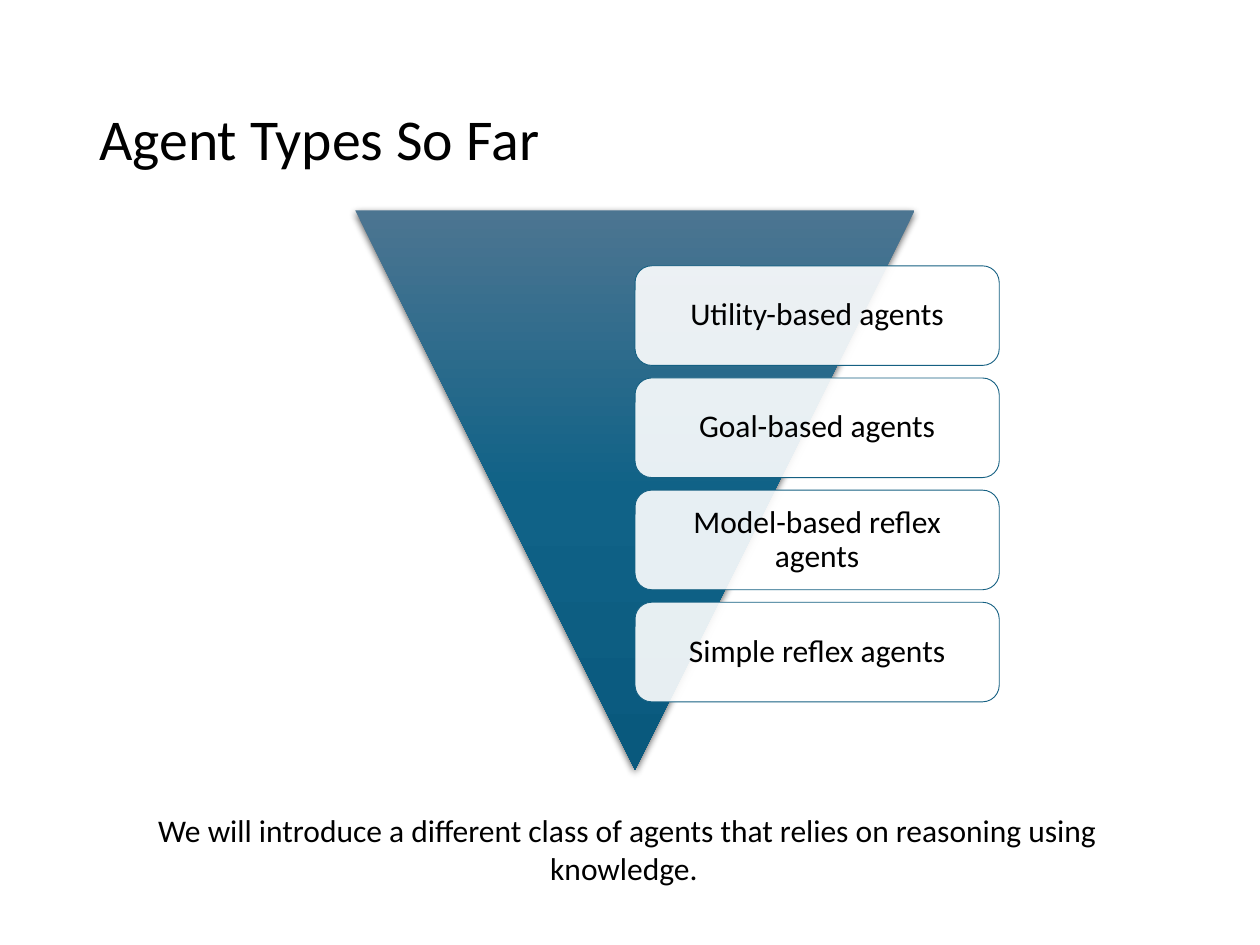
from dataclasses import dataclass

from lxml import etree
from pptx import Presentation
from pptx.dml.color import RGBColor
from pptx.enum.shapes import MSO_SHAPE as Shape
from pptx.enum.text import MSO_ANCHOR as Anchor, MSO_AUTO_SIZE as AutoSize, PP_ALIGN as Align
from pptx.oxml import parse_xml
from pptx.oxml.ns import nsdecls, qn
from pptx.util import Inches, Pt


@dataclass(frozen=True)
class Theme:
    font: str = "Calibri"
    ink: str = "000000"
    card: str = "FFFFFF"
    card_alpha: int = 90
    border: str = "156082"
    gradient: tuple = ((0, "4C7591"), (50, "106287"), (100, "09597D"))
    shadow_alpha: int = 63
    title_size: int = 33
    body_size: int = 18


class SlideBuilder:
    def __init__(self, slide, theme):
        self.shapes = slide.shapes
        self.theme = theme

    def fill_text(self, box, text, size, frame_format, para_format):
        frame = box.text_frame
        for name, value in {"word_wrap": True, **frame_format}.items():
            setattr(frame, name, value)
        para = frame.paragraphs[0]
        for name, value in para_format.items():
            setattr(para, name, value)
        span = para.add_run()
        span.text = text
        for name, value in {"name": self.theme.font, "size": Pt(size)}.items():
            setattr(span.font, name, value)
        span.font.color.rgb = RGBColor.from_string(self.theme.ink)

    def text(self, area, text, size, frame_format, para_format):
        box = self.shapes.add_textbox(*map(Inches, area))
        self.fill_text(box, text, size, frame_format, para_format)

    def triangle(self, area):
        triangle = self.shapes.add_shape(Shape.ISOSCELES_TRIANGLE, *map(Inches, area))
        triangle.rotation = 180
        triangle.line.fill.background()
        stops = "".join(
            f'<a:gs pos="{place * 1000}"><a:srgbClr val="{color}"/></a:gs>'
            for place, color in self.theme.gradient
        )
        gradient = parse_xml(
            f'<a:gradFill {nsdecls("a")} rotWithShape="0"><a:gsLst>{stops}</a:gsLst>'
            '<a:lin ang="5400000" scaled="0"/></a:gradFill>'
        )
        shadow = parse_xml(
            f'<a:effectLst {nsdecls("a")}><a:outerShdw blurRad="{Pt(4.5)}" dist="{Pt(1.5)}" '
            f'dir="5400000" algn="ctr" rotWithShape="0"><a:srgbClr val="{self.theme.ink}">'
            f'<a:alpha val="{self.theme.shadow_alpha * 1000}"/></a:srgbClr>'
            '</a:outerShdw></a:effectLst>'
        )
        properties = triangle._element.spPr
        properties.find(qn("a:prstGeom")).addnext(gradient)
        properties.append(shadow)

    def card(self, area, text):
        card = self.shapes.add_shape(Shape.ROUNDED_RECTANGLE, *map(Inches, area))
        card.shadow.inherit = False
        card.fill.solid()
        card.fill.fore_color.rgb = RGBColor.from_string(self.theme.card)
        color = card._element.spPr.find(qn("a:solidFill"))[0]
        etree.SubElement(color, qn("a:alpha"), val=str(self.theme.card_alpha * 1000))
        card.line.color.rgb = RGBColor.from_string(self.theme.border)
        card.line.width = Pt(0.5)
        margins = {f"margin_{side}": Inches(0.07) for side in ("left", "right", "top", "bottom")}
        self.fill_text(card, text, self.theme.body_size,
                       {"vertical_anchor": Anchor.MIDDLE, **margins},
                       {"alignment": Align.CENTER, "line_spacing": 0.9})


def main():
    """Build the agent types slide and save it."""
    deck = Presentation()
    deck.slide_width, deck.slide_height = Inches(10), Inches(7.5)
    theme = Theme()
    page = SlideBuilder(deck.slides.add_slide(deck.slide_layouts[6]), theme)

    page.text((0.69, 0.4, 8.62, 1.45), "Agent Types So Far", theme.title_size,
              {"vertical_anchor": Anchor.MIDDLE}, {"line_spacing": 0.9})
    page.triangle((2.82, 1.67, 4.44, 4.44))
    agents = ("Utility-based agents", "Goal-based agents",
              "Model-based reflex agents", "Simple reflex agents")
    top, pitch = 2.11, 0.89
    for index, agent in enumerate(agents):
        page.card((5.04, top + index * pitch, 2.89, 0.79), agent)
    page.text((0.67, 6.39, 8.62, 0.71),
              "We will introduce a different class of agents that relies on "
              "reasoning using knowledge. ", theme.body_size,
              {"auto_size": AutoSize.SHAPE_TO_FIT_TEXT}, {"alignment": Align.CENTER})
    deck.save("out.pptx")


if __name__ == "__main__":
    main()
